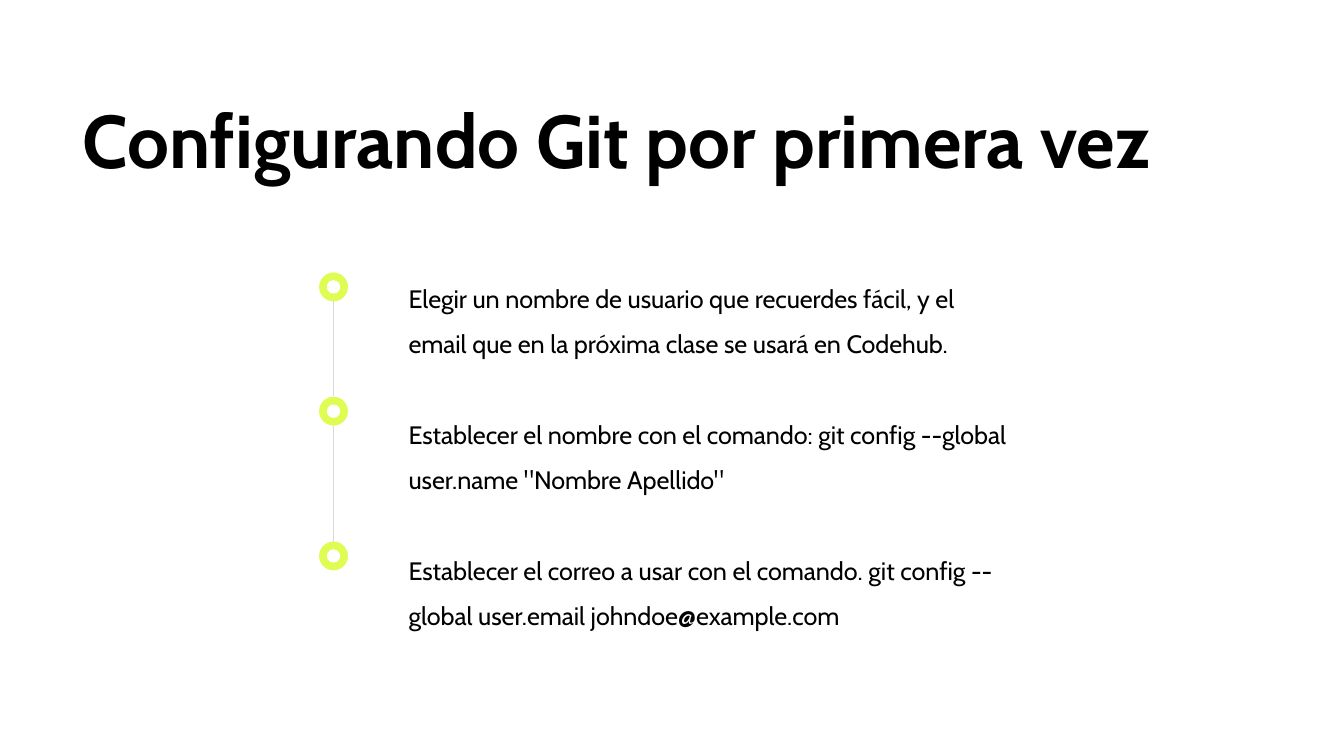
import pptx
import pptx.util
import pptx.dml.color
import pptx.enum.shapes
import pptx.enum.text
import lxml.etree

THEME = {
    "font": "Cabin",
    "ink": pptx.dml.color.RGBColor.from_string("000000"),
    "lime": pptx.dml.color.RGBColor.from_string("DEFC52"),
    "paper": pptx.dml.color.RGBColor.from_string("FFFFFF"),
    "grey": pptx.dml.color.RGBColor.from_string("D9D9D9"),
    "title": pptx.util.Pt(40),
    "body": pptx.util.Pt(13.5),
    "rule": pptx.util.Pt(0.5),
}

deck = pptx.Presentation()
deck.slide_width = pptx.util.Inches(10)
deck.slide_height = deck.slide_width * 9 // 16
cell = deck.slide_width / 100
slide = deck.slides.add_slide(deck.slide_layouts.get_by_name("Comparison"))
slide.background.fill.solid()
slide.background.fill.fore_color.rgb = THEME["paper"]
holds = {hold.placeholder_format.idx: hold for hold in slide.placeholders}


def write(box, place, words, size, space, bold):
    box.left, box.top, box.width, box.height = [round(n * cell) for n in place]
    frame = box.text_frame
    frame.word_wrap = True
    frame.auto_size = pptx.enum.text.MSO_AUTO_SIZE.NONE
    frame.vertical_anchor = pptx.enum.text.MSO_ANCHOR.TOP
    frame.margin_left = frame.margin_right = round(cell)
    frame.margin_top = frame.margin_bottom = round(cell)
    para = frame.paragraphs[0]
    props = para._p.get_or_add_pPr()
    props.set("marL", "0")
    props.set("indent", "0")
    lxml.etree.SubElement(props, pptx.oxml.ns.qn("a:buNone"))
    para.alignment = pptx.enum.text.PP_ALIGN.LEFT
    para.line_spacing = space
    para.space_before = pptx.util.Pt(0)
    run = para.add_run()
    run.text = words
    run.font.name = THEME["font"]
    run.font.size = size
    run.font.bold = bold
    run.font.color.rgb = THEME["ink"]


def dot(group, mid, row, size, tint):
    place = [round(n * cell) for n in (mid - size / 2, row - size / 2, size, size)]
    disc = group.shapes.add_shape(pptx.enum.shapes.MSO_SHAPE.OVAL, *place)
    disc.shadow.inherit = False
    disc.fill.solid()
    disc.fill.fore_color.rgb = tint
    disc.line.fill.background()


write(holds[0], (5.15, 6.75, 89, 14.1), "Configurando Git por primera vez",
      THEME["title"], 0.9, True)

steps = [
    "Elegir un nombre de usuario que recuerdes fácil, y el email que en la próxima clase se usará en Codehub.",
    'Establecer el nombre con el comando: git config --global user.name "Nombre Apellido"',
    "Establecer el correo a usar con el comando. git config --global user.email johndoe@example.com",
]
for num, words in enumerate(steps):
    write(holds[num + 1], (29.4, 18.95 + 10.13 * num, 46.8, 7.7), words,
          THEME["body"], 1.5, False)
last = holds[4]._element
last.getparent().remove(last)

mid = 24.82
for row in (21.35, 30.6, 41.37):
    group = slide.shapes.add_group_shape()
    dot(group, mid, row, 2.15, THEME["lime"])
    dot(group, mid, row, 1, THEME["paper"])

for start, end in ((22.4, 26.9), (25.1, 29.5), (31.7, 40.3)):
    ends = [round(n * cell) for n in (mid, start, mid, end)]
    rule = slide.shapes.add_connector(pptx.enum.shapes.MSO_CONNECTOR.STRAIGHT, *ends)
    rule.line.color.rgb = THEME["grey"]
    rule.line.width = THEME["rule"]
    lxml.etree.SubElement(rule._element.spPr, pptx.oxml.ns.qn("a:effectLst"))

deck.save("out.pptx")
